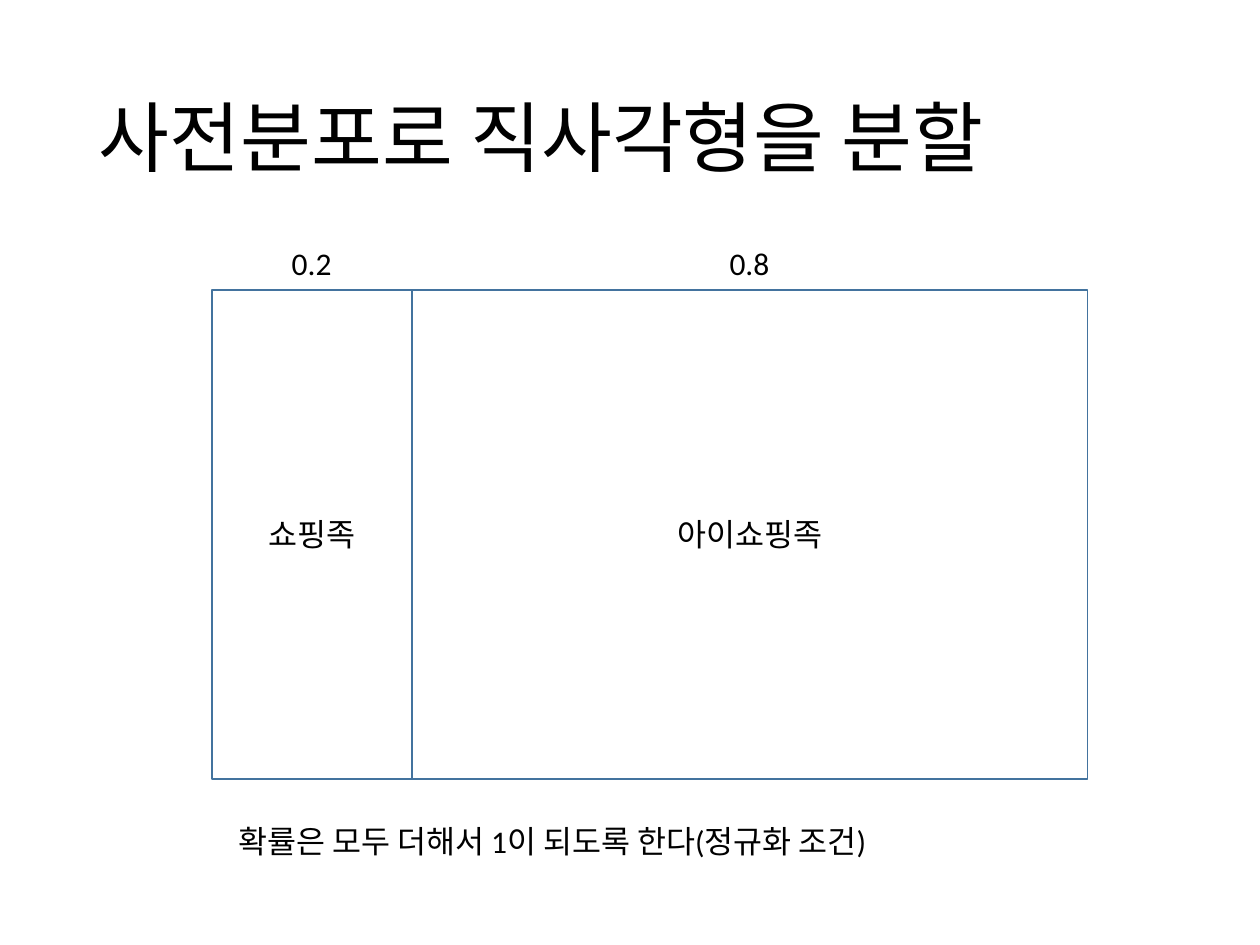
from pptx import Presentation
from pptx.dml.color import RGBColor
from pptx.enum.shapes import MSO_SHAPE
from pptx.enum.text import MSO_ANCHOR, MSO_AUTO_SIZE, PP_ALIGN
from pptx.util import Pt

FONT = "Calibri"
BLACK, WHITE, BLUE = "000000", "FFFFFF", "43739E"
LEFT, TOP, HEIGHT = 121, 165.6, 279.4
LABEL_TOP, LABEL_WIDTH, LABEL_HEIGHT = 136, 37.4, 29


def color(hex_code):
    return RGBColor.from_string(hex_code)


def write(frame, text, size, align=PP_ALIGN.LEFT):
    frame.text = text
    paragraph = frame.paragraphs[0]
    paragraph.alignment = align
    font = paragraph.runs[0].font
    font.name = FONT
    font.size = Pt(size)
    font.color.rgb = color(BLACK)
    return paragraph


def add_title(slide, text):
    title = slide.shapes.add_textbox(Pt(49.5), Pt(28.8), Pt(621), Pt(104.4))
    frame = title.text_frame
    frame.word_wrap = True
    frame.vertical_anchor = MSO_ANCHOR.MIDDLE
    write(frame, text, 44).line_spacing = 0.9


def add_label(slide, text, left, top, width):
    label = slide.shapes.add_textbox(Pt(left), Pt(top), Pt(width), Pt(LABEL_HEIGHT))
    frame = label.text_frame
    frame.word_wrap = False
    frame.auto_size = MSO_AUTO_SIZE.SHAPE_TO_FIT_TEXT
    write(frame, text, 18)


def add_region(slide, text, left, width, fill):
    region = slide.shapes.add_shape(
        MSO_SHAPE.RECTANGLE, Pt(left), Pt(TOP), Pt(width), Pt(HEIGHT))
    region.shadow.inherit = False
    if fill:
        region.fill.solid()
        region.fill.fore_color.rgb = color(fill)
    else:
        region.fill.background()
    region.line.color.rgb = color(BLUE)
    region.line.width = Pt(1)
    region.text_frame.vertical_anchor = MSO_ANCHOR.MIDDLE
    write(region.text_frame, text, 18, PP_ALIGN.CENTER)


def main():
    prs = Presentation()
    prs.slide_width, prs.slide_height = Pt(720), Pt(540)
    slide = prs.slides.add_slide(prs.slide_layouts[6])

    add_title(slide, "사전분포로 직사각형을 분할")

    # Prior split: regions side by side, each with its probability above
    left = LEFT
    for group, prior, width, fill in (("쇼핑족", "0.2", 114.5, WHITE),
                                      ("아이쇼핑족", "0.8", 386, None)):
        add_region(slide, group, left, width, fill)
        add_label(slide, prior, left + (width - LABEL_WIDTH) / 2, LABEL_TOP, LABEL_WIDTH)
        left += width

    # Normalisation condition
    add_label(slide, "확률은 모두 더해서 1이 되도록 한다(정규화 조건)", 129, 466, 405.4)

    prs.save("out.pptx")


if __name__ == "__main__":
    main()
